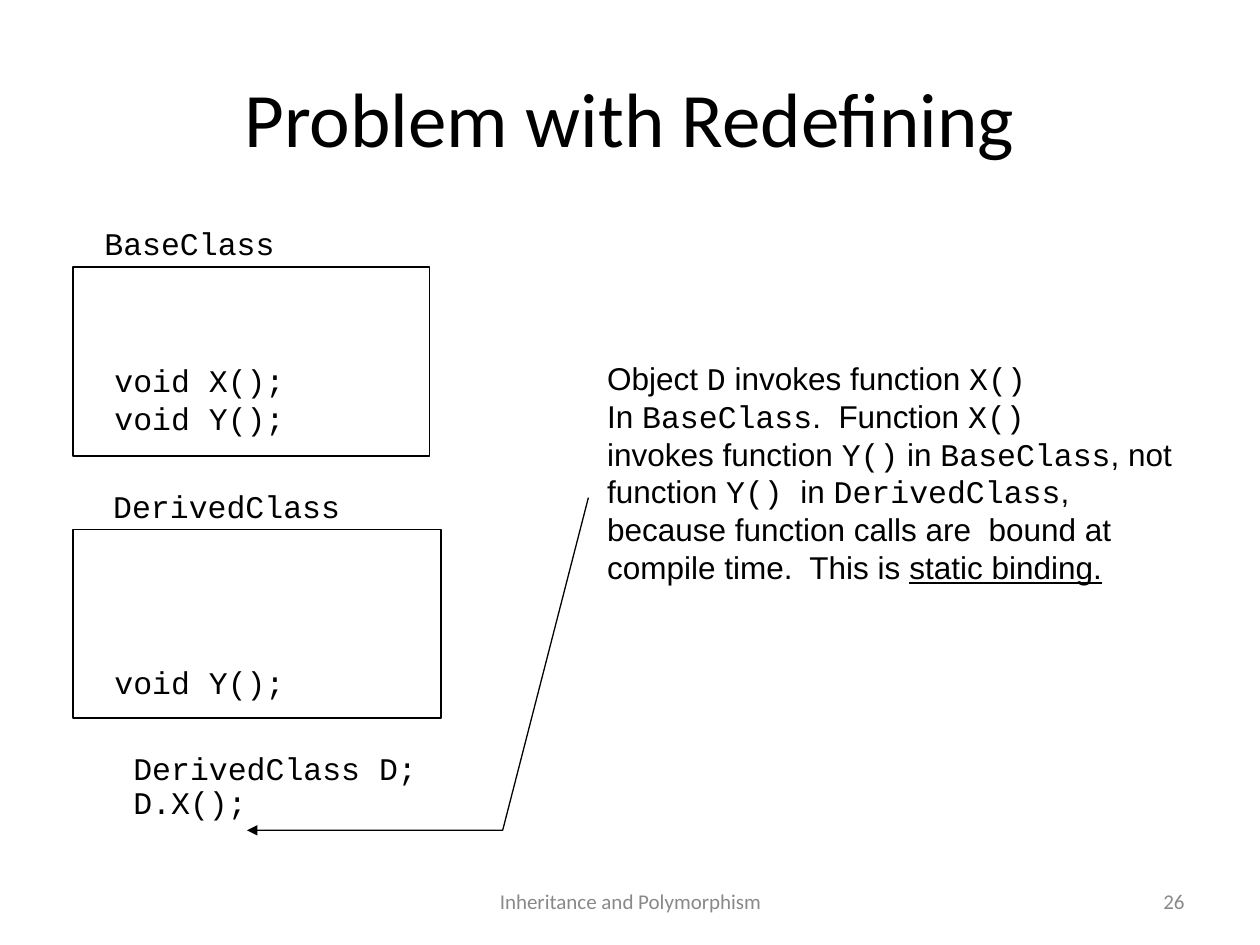
"""Builds a slide on static binding when a base class function is redefined."""
import lxml.etree
import pptx
import pptx.dml.color
import pptx.enum.shapes
import pptx.enum.text
import pptx.oxml.ns
import pptx.util

COLUMNS, ROWS = 100, 75
WIDTH, HEIGHT = pptx.util.Inches(10), pptx.util.Inches(7.5)
COLORS = {"ink": "000000", "footer": "898989"}
CODE, PROSE, HEADING = "Courier New", "Arial", "Calibri"
ALIGN = pptx.enum.text.PP_ALIGN
ANCHOR = pptx.enum.text.MSO_ANCHOR


def across(columns):
    """Return the length of a number of grid columns."""
    return round(WIDTH * columns / COLUMNS)


def down(rows):
    """Return the length of a number of grid rows."""
    return round(HEIGHT * rows / ROWS)


def area(left, top, width, height):
    """Return a grid area as lengths on the slide."""
    return across(left), down(top), across(width), down(height)


def rgb(name):
    """Return a named colour."""
    return pptx.dml.color.RGBColor.from_string(COLORS[name])


def style(paragraph, size, font=None, color="ink", align=ALIGN.LEFT):
    """Set the font and alignment shared by a paragraph."""
    paragraph.alignment = align
    paragraph.font.size = pptx.util.Pt(size)
    paragraph.font.color.rgb = rgb(color)
    if font:
        paragraph.font.name = font


def outline(shape):
    """Give a shape a thin line, no fill and no shadow."""
    shape.shadow.inherit = False
    shape.fill.background()
    shape.line.color.rgb = rgb("ink")
    shape.line.width = pptx.util.Pt(0.75)


def add_title(slide, text):
    """Fill and place the title placeholder."""
    title = slide.shapes.title
    title.left, title.top, title.width, title.height = area(5, 3, 90, 12.5)
    title.text_frame.text = text
    title.text_frame.vertical_anchor = ANCHOR.MIDDLE
    style(title.text_frame.paragraphs[0], 44, HEADING, align=ALIGN.CENTER)


def add_footer(slide, place, text, align):
    """Add a grey footer text."""
    frame = slide.shapes.add_textbox(*area(*place)).text_frame
    frame.word_wrap = True
    frame.vertical_anchor = ANCHOR.MIDDLE
    frame.text = text
    style(frame.paragraphs[0], 12, HEADING, "footer", align)


def add_code(slide, place, lines, spacing=None):
    """Add unwrapped lines of code."""
    frame = slide.shapes.add_textbox(*area(*place)).text_frame
    frame.word_wrap = False
    frame.text = "\n".join(lines)
    for paragraph in frame.paragraphs:
        style(paragraph, 18, CODE)
        paragraph.line_spacing = spacing


def add_class_box(slide, place):
    """Add the outlined box of a class."""
    rectangle = pptx.enum.shapes.MSO_SHAPE.RECTANGLE
    outline(slide.shapes.add_shape(rectangle, *area(*place)))


def add_explanation(slide, place, lines, term):
    """Add prose with code between backticks and a closing underlined term."""
    frame = slide.shapes.add_textbox(*area(*place)).text_frame
    frame.word_wrap = True
    for number, line in enumerate(lines):
        paragraph = frame.add_paragraph() if number else frame.paragraphs[0]
        style(paragraph, 18)
        for index, words in enumerate(line.split("`")):
            if words:
                run = paragraph.add_run()
                run.text = words
                run.font.name = CODE if index % 2 else PROSE
    closing = paragraph.add_run()
    closing.text = term
    closing.font.name = PROSE
    closing.font.underline = True


def add_bent_arrow(slide, points):
    """Add an open line through grid points with an arrowhead at its end."""
    start, *bends = [(across(column), down(row)) for column, row in points]
    builder = slide.shapes.build_freeform(*start)
    builder.add_line_segments(bends, close=False)
    arrow = builder.convert_to_shape()
    outline(arrow)
    line = arrow.line.fill._xPr
    head = lxml.etree.SubElement(line, pptx.oxml.ns.qn("a:tailEnd"))
    head.set("type", "triangle")


def main():
    """Build and save the slide."""
    deck = pptx.Presentation()
    deck.slide_width, deck.slide_height = WIDTH, HEIGHT
    slide = deck.slides.add_slide(deck.slide_layouts[5])

    add_title(slide, "Problem with Redefining")
    add_footer(slide, (34.2, 69.5, 31.7, 4), "Inheritance and Polymorphism", ALIGN.CENTER)
    add_footer(slide, (71.7, 69.5, 23.3, 4), "26", ALIGN.RIGHT)

    add_class_box(slide, (5.8, 21.2, 28.3, 15))
    add_class_box(slide, (5.8, 42, 29.2, 15))
    add_code(slide, (7.3, 17.3, 15.5, 4), ["BaseClass"])
    add_code(slide, (8, 38.2, 20, 4), ["DerivedClass"])
    add_code(slide, (8.1, 28.2, 15.5, 7), ["void X();", "void Y();"])
    add_code(slide, (8.1, 52.1, 15.5, 4), ["void Y();"])
    add_code(slide, (9.6, 59.3, 24.5, 6.4), ["DerivedClass D;", "D.X();"], 0.9)

    add_explanation(slide, (47.2, 28, 47.8, 19), [
        "Object `D` invokes function `X()`",
        "In `BaseClass`.  Function `X()`",
        "invokes function `Y()` in `BaseClass`, not function `Y()`  in `DerivedClass`,",
        "because function calls are  bound at compile time.  This is ",
    ], "static binding.")
    add_bent_arrow(slide, [(46.7, 39.5), (39.9, 65.9), (19.6, 65.9)])

    deck.save("out.pptx")


if __name__ == "__main__":
    main()
